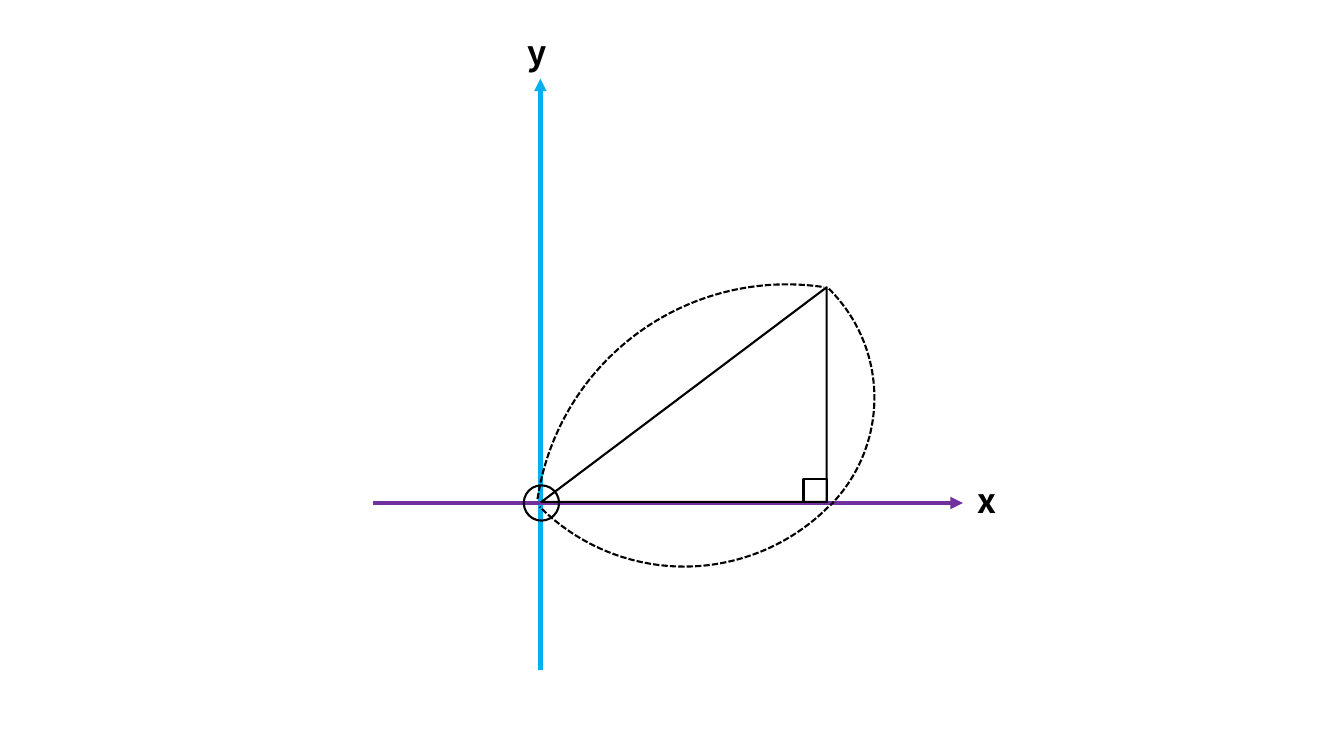
from pptx import Presentation
from pptx.dml.color import RGBColor
from pptx.enum.dml import MSO_LINE
from pptx.enum.shapes import MSO_CONNECTOR, MSO_SHAPE
from pptx.enum.text import MSO_AUTO_SIZE
from pptx.oxml.ns import qn
from pptx.oxml.xmlchemy import OxmlElement
from pptx.util import Inches, Pt

FONT = "Noto Sans CJK KR"
BLACK, WHITE, BLUE, PURPLE = "000000", "FFFFFF", "00B0F0", "7030A0"


def paint(color, value):
    color.rgb = RGBColor.from_string(value)


def text(slide, words, x, y, w, h, size=24, bold=True, color=BLACK):
    box = slide.shapes.add_textbox(*map(Inches, (x, y, w, h)))
    frame = box.text_frame
    frame.word_wrap = False
    frame.auto_size = MSO_AUTO_SIZE.SHAPE_TO_FIT_TEXT
    run = frame.paragraphs[0].add_run()
    run.text = words
    font = run.font
    font.name, font.size, font.bold = FONT, Pt(size), bold
    paint(font.color, color)
    # East Asian fallback must name the same face
    face = OxmlElement("a:ea")
    face.set("typeface", FONT)
    font._element.append(face)


def arrow(slide, start, end, color):
    line = slide.shapes.add_connector(
        MSO_CONNECTOR.STRAIGHT, *map(Inches, (*start, *end)))
    line.line.width = Pt(3)
    paint(line.line.color, color)
    tip = OxmlElement("a:tailEnd")
    tip.set("type", "triangle")
    line.line._get_or_add_ln().append(tip)
    line._element.spPr.append(OxmlElement("a:effectLst"))


def shape(slide, kind, x, y, w, h, fill=None, turn=0, flip=False, dash=None):
    part = slide.shapes.add_shape(kind, *map(Inches, (x, y, w, h)))
    part.shadow.inherit = False
    part.rotation = turn
    if fill:
        part.fill.solid()
        paint(part.fill.fore_color, fill)
    else:
        part.fill.background()
    part.line.width = Pt(1.5)
    paint(part.line.color, BLACK)
    if dash:
        part.line.dash_style = dash
    if flip:
        part._element.spPr.find(qn("a:xfrm")).set("flipH", "1")


def ring(slide, kind, x, y, radius, **form):
    """Place a round shape by its centre."""
    shape(slide, kind, x - radius, y - radius, 2 * radius, 2 * radius, **form)


def axes(slide, x, y, w, h, zero):
    """Draw both axes across the box, crossing at zero."""
    across, down = zero
    wide, tall = 0.38, 0.5
    text(slide, "x", x + w + 0.05, down - 0.28, wide, tall)
    arrow(slide, (across, y + h), (across, y), BLUE)
    text(slide, "y", across - 0.23, y - 0.51, wide, tall)
    arrow(slide, (x, down), (x + w, down), PURPLE)


def angle(slide, x, y, w, h):
    """Draw the right triangle, its square mark and the origin ring."""
    mark = 0.23
    shape(slide, MSO_SHAPE.RIGHT_TRIANGLE, x, y, w, h, fill=WHITE, flip=True)
    shape(slide, MSO_SHAPE.RECTANGLE, x + w - mark, y + h - mark, mark, mark)
    ring(slide, MSO_SHAPE.OVAL, x, y + h + 0.01, 0.175)


def arcs(slide, x, y, w, h):
    """Bow a dashed quarter circle over each side of the triangle."""
    bows = [(0.5, 0.35, 2.025, 135),
            (0.63, 0.515, 1.52, 44.6),
            (0.86, 1.16, 2.5, 278.5)]
    for across, down, radius, turn in bows:
        ring(slide, MSO_SHAPE.ARC, x + across * w, y + down * h, radius,
             turn=turn, dash=MSO_LINE.SQUARE_DOT)


def main():
    deck = Presentation()
    deck.slide_width, deck.slide_height = Inches(13.33), Inches(7.5)
    slide = deck.slides.add_slide(deck.slide_layouts[6])
    sides = (5.37, 2.85, 2.83, 2.13)
    axes(slide, 3.7, 0.78, 5.85, 5.87, zero=(5.36, 4.99))
    angle(slide, *sides)
    arcs(slide, *sides)
    deck.save("out.pptx")


if __name__ == "__main__":
    main()
